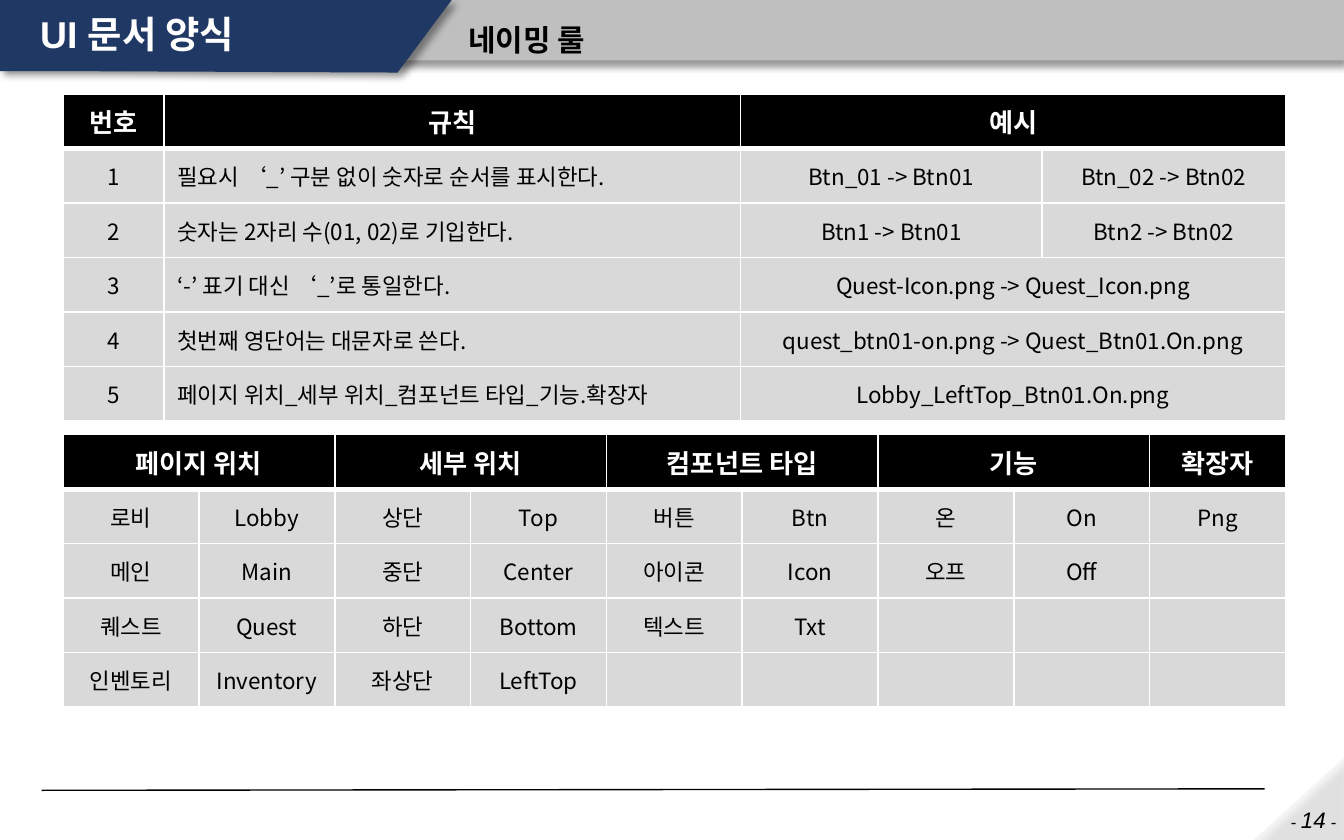
"""Build the naming rule slide of a UI document guide."""
from dataclasses import dataclass
from typing import Optional

from lxml.etree import SubElement as Sub
from pptx import Presentation
from pptx.dml.color import RGBColor as Rgb
from pptx.enum.shapes import MSO_CONNECTOR as Link, MSO_SHAPE as Kind
from pptx.enum.text import MSO_ANCHOR as Anchor, PP_ALIGN as Align
from pptx.oxml import parse_xml
from pptx.oxml.ns import nsdecls, qn
from pptx.util import Pt


@dataclass(frozen=True)
class Theme:
    black: str = "000000"
    white: str = "FFFFFF"
    navy: str = "203864"
    band: str = "BFBFBF"
    cell: str = "D9D9D9"
    fold: str = "F2F2F2"
    sans: str = "Arial"
    hangul: str = "Noto Sans CJK KR"
    title: float = 20
    topic: float = 16
    head: float = 14
    body: float = 12
    page: float = 12
    dash: float = 9
    thin: float = 1
    thick: float = 3


@dataclass(frozen=True)
class Box:
    left: float
    top: float
    width: float
    height: float

    def points(self) -> tuple:
        return Pt(self.left), Pt(self.top), Pt(self.width), Pt(self.height)


@dataclass(frozen=True)
class Grid:
    top: float
    cols: tuple
    rows: tuple
    lefts: tuple = ()


@dataclass(frozen=True)
class Label:
    box: Box
    text: str
    size: float
    space: float


LOOK = Theme()
EDGE, WIDTH, ROW = 33.8, 655, 29.2

RULES = Grid(50.4, (54, 309, 161.5, 130.5), (
    ("번호", "규칙", "예시", None),
    ("1", "필요시 ‘_’ 구분 없이 숫자로 순서를 표시한다.", "Btn_01 -> Btn01", "Btn_02 -> Btn02"),
    ("2", "숫자는 2자리 수(01, 02)로 기입한다.", "Btn1 -> Btn01", "Btn2 -> Btn02"),
    ("3", "‘-’ 표기 대신 ‘_’로 통일한다.", "Quest-Icon.png -> Quest_Icon.png", None),
    ("4", "첫번째 영단어는 대문자로 쓴다.", "quest_btn01-on.png -> Quest_Btn01.On.png", None),
    ("5", "페이지 위치_세부 위치_컴포넌트 타입_기능.확장자", "Lobby_LeftTop_Btn01.On.png", None),
), lefts=(1,))

TERMS = Grid(232.8, (WIDTH / 9,) * 9, (
    ("페이지 위치", None, "세부 위치", None, "컴포넌트 타입", None, "기능", None, "확장자"),
    ("로비", "Lobby", "상단", "Top", "버튼", "Btn", "온", "On", "Png"),
    ("메인", "Main", "중단", "Center", "아이콘", "Icon", "오프", "Off", ""),
    ("퀘스트", "Quest", "하단", "Bottom", "텍스트", "Txt", "", "", ""),
    ("인벤토리", "Inventory", "좌상단", "LeftTop", "", "", "", "", ""),
))

LABELS = (
    Label(Box(14.4, 0, 215.3, 38.9), "UI 문서 양식", LOOK.title, 0.9),
    Label(Box(244, 0, 476, 32.4), "네이밍 룰", LOOK.topic, 1.5),
)


def style(para, face: str, size: float, tint: str, bold: bool = False, slant: bool = False) -> None:
    font = para.font
    font.name, font.size, font.bold, font.italic = face, Pt(size), bold, slant
    font.color.rgb = Rgb.from_string(tint)
    base = para._p.pPr.find(qn("a:defRPr"))
    Sub(base, qn("a:ea"), typeface=LOOK.hangul)


def paint(shape, tint: str, turn: int, alpha: Optional[int] = None) -> None:
    shape.fill.solid()
    shape.fill.fore_color.rgb = Rgb.from_string(tint)
    shape.line.fill.background()
    shape.shadow.inherit = False
    props = shape._element.spPr
    if alpha is not None:
        hue = props.find(qn("a:solidFill"))[0]
        Sub(hue, qn("a:alpha"), val=str(alpha * 1000))
    shade = Sub(props.find(qn("a:effectLst")), qn("a:outerShdw"), blurRad=str(Pt(4)),
                dist=str(Pt(3)), dir=str(turn * 60000), algn="t", rotWithShape="0")
    hue = Sub(shade, qn("a:srgbClr"), val=LOOK.black)
    Sub(hue, qn("a:alpha"), val="40000")


def edge(cell, head: bool) -> None:
    props = cell._tc.get_or_add_tcPr()
    for spot, side in enumerate("LRTB"):
        width = LOOK.thick if head and side == "B" else LOOK.thin
        props.insert(spot, parse_xml(
            f'<a:ln{side} {nsdecls("a")} w="{Pt(width)}"><a:solidFill>'
            f'<a:srgbClr val="{LOOK.white}"/></a:solidFill></a:ln{side}>'))


def fill_cell(cell, text: str, head: bool, left: bool) -> None:
    cell.fill.solid()
    cell.fill.fore_color.rgb = Rgb.from_string(LOOK.black if head else LOOK.cell)
    cell.vertical_anchor = Anchor.MIDDLE
    edge(cell, head)
    para = cell.text_frame.paragraphs[0]
    para.text = text
    para.alignment = Align.LEFT if left else Align.CENTER
    style(para, LOOK.hangul, LOOK.head if head else LOOK.body,
          LOOK.white if head else LOOK.black, bold=head)


def draw_grid(slide, grid: Grid) -> None:
    box = Box(EDGE, grid.top, WIDTH, ROW * len(grid.rows))
    table = slide.shapes.add_table(len(grid.rows), len(grid.cols), *box.points()).table
    for col, width in zip(table.columns, grid.cols):
        col.width = Pt(width)
    for y, row in enumerate(grid.rows):
        table.rows[y].height = Pt(ROW)
        for x, text in enumerate(row):
            cell = table.cell(y, x)
            fill_cell(cell, text or "", y == 0, y > 0 and x in grid.lefts)
            if text is None:
                table.cell(y, x - 1).merge(cell)


def draw_frame(slide) -> None:
    shapes = slide.shapes
    paint(shapes.add_shape(Kind.RECTANGLE, *Box(0, 0, 720, 32.4).points()), LOOK.band, 90)
    flag = shapes.build_freeform(0, 0)
    flag.add_line_segments([(Pt(x), Pt(y)) for x, y in
                            ((242, 0), (213, 38.9), (50.4, 38.2), (0, 38.2))])
    paint(flag.convert_to_shape(), LOOK.navy, 45)
    fold = shapes.add_shape(Kind.RIGHT_TRIANGLE, *Box(673.9, 403.9, 43.9, 48.2).points())
    fold.rotation = 270
    paint(fold, LOOK.fold, 45, alpha=70)
    rule = shapes.add_connector(Link.STRAIGHT, Pt(22.3), Pt(423.4), Pt(677.5), Pt(422.6))
    rule.line.color.rgb = Rgb.from_string(LOOK.black)
    rule.line.width = Pt(0.75)
    Sub(rule._element.spPr, qn("a:effectLst"))


def draw_page(slide) -> None:
    frame = slide.shapes.add_textbox(*Box(643.7, 429.1, 79.2, 14.4).points()).text_frame
    frame.word_wrap = True
    frame.margin_top = frame.margin_bottom = Pt(3)
    para = frame.paragraphs[0]
    para.alignment = Align.RIGHT
    style(para, LOOK.sans, LOOK.dash, LOOK.black, slant=True)
    for text, size in (("- ", LOOK.dash), ("14", LOOK.page), (" -", LOOK.dash)):
        run = para.add_run()
        run.text = text
        run.font.size = Pt(size)


def draw_label(slide, label: Label, tint: str) -> None:
    frame = slide.shapes.add_textbox(*label.box.points()).text_frame
    frame.word_wrap = True
    frame.vertical_anchor = Anchor.MIDDLE
    para = frame.paragraphs[0]
    para.text = label.text
    para.line_spacing = label.space
    style(para, LOOK.sans, label.size, tint, bold=True)


def main() -> None:
    deck = Presentation()
    deck.slide_width, deck.slide_height = Pt(720), Pt(450)
    slide = deck.slides.add_slide(deck.slide_layouts[6])
    draw_frame(slide)
    draw_page(slide)
    for label, tint in zip(LABELS, (LOOK.white, LOOK.black)):
        draw_label(slide, label, tint)
    for grid in (TERMS, RULES):
        draw_grid(slide, grid)
    deck.save("out.pptx")


if __name__ == "__main__":
    main()
